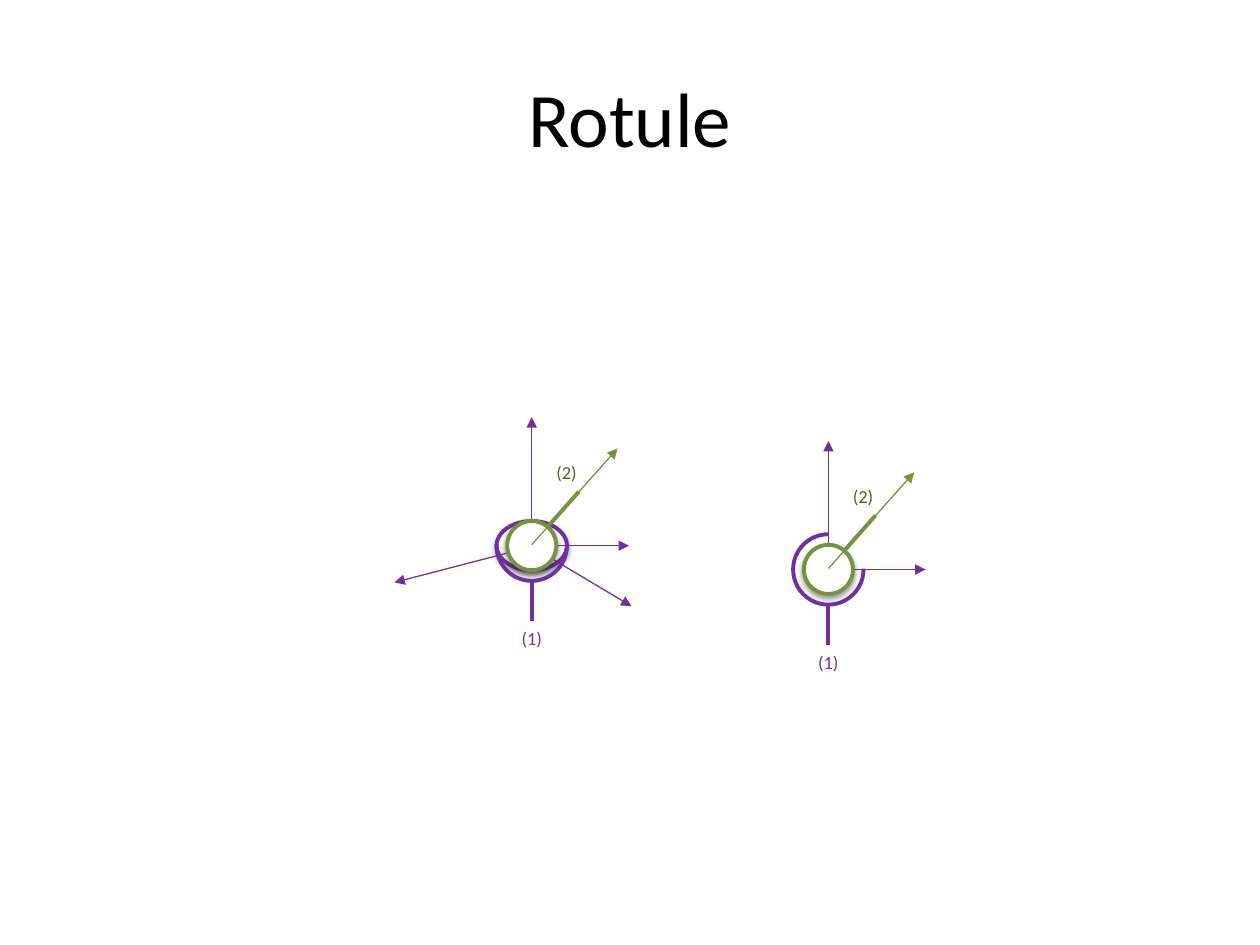
from lxml.etree import SubElement
from pptx import Presentation
from pptx.dml.color import RGBColor
from pptx.enum.shapes import MSO_CONNECTOR as Connector, MSO_SHAPE as Shape
from pptx.enum.text import MSO_ANCHOR as Anchor, MSO_AUTO_SIZE as AutoSize, PP_ALIGN as Align
from pptx.oxml.ns import qn
from pptx.util import Cm, Pt

PURPLE = RGBColor(0x70, 0x30, 0xA0)
GREEN = RGBColor(0x77, 0x93, 0x3C)
DARK_GREEN = RGBColor(0x4F, 0x62, 0x28)
WHITE = RGBColor(0xFF, 0xFF, 0xFF)
BLACK = RGBColor(0, 0, 0)

THIN, THICK = Pt(0.75), Pt(2.25)
BALL, SOCKET = 0.99, 1.42  # diameters in cm


class JointSketch:
    """Holds the style, the slide and the joint being drawn (cm from its centre)."""

    title_font = {"name": "Calibri", "size": Pt(44)}
    label_font = {"name": "Calibri", "size": Pt(10.5)}

    def __init__(self, slide):
        self.slide = slide

    def start_joint(self, x, y):
        self.x, self.y = x, y
        self.shapes = self.slide.shapes.add_group_shape().shapes

    def box(self, x, y, width, height):
        return (Cm(self.x + x - width / 2), Cm(self.y + y - height / 2),
                Cm(width), Cm(height))

    def centred_text(self, frame, text, font, color):
        paragraph = frame.paragraphs[0]
        paragraph.alignment = Align.CENTER
        run = paragraph.add_run()
        run.text = text
        for key, value in font.items():
            setattr(run.font, key, value)
        run.font.color.rgb = color

    def title(self, text):
        heading = self.slide.shapes.title
        place = {"left": Cm(1.27), "top": Cm(0.76), "width": Cm(22.86), "height": Cm(3.18)}
        for key, value in place.items():
            setattr(heading, key, value)
        heading.text_frame.vertical_anchor = Anchor.MIDDLE
        self.centred_text(heading.text_frame, text, self.title_font, BLACK)

    def label(self, text, x, y, color):
        frame = self.shapes.add_textbox(*self.box(x, y, 0.99, 0.73)).text_frame
        frame.word_wrap = True
        frame.auto_size = AutoSize.SHAPE_TO_FIT_TEXT
        self.centred_text(frame, text, self.label_font, color)

    def line(self, start, end, color, width=THIN, arrow=True):
        points = [Cm(v) for v in (self.x + start[0], self.y + start[1],
                                  self.x + end[0], self.y + end[1])]
        link = self.shapes.add_connector(Connector.STRAIGHT, *points)
        link.line.color.rgb = color
        link.line.width = width
        properties = link._element.spPr
        if arrow:
            SubElement(properties.find(qn("a:ln")), qn("a:tailEnd"), type="triangle")
        SubElement(properties, qn("a:effectLst"))

    def outline(self, kind, width, height, color):
        shape = self.shapes.add_shape(kind, *self.box(0, 0, width, height))
        shape.shadow.inherit = False
        shape.line.color.rgb = color
        shape.line.width = THICK
        return shape

    def disc(self, width, height, color):
        shape = self.outline(Shape.OVAL, width, height, color)
        shape.fill.solid()
        shape.fill.fore_color.rgb = WHITE
        effects = shape._element.spPr.find(qn("a:effectLst"))
        shadow = SubElement(effects, qn("a:outerShdw"), blurRad=str(Pt(3.1)),
                            dist=str(Pt(1.6)), dir="5400000", rotWithShape="0")
        black = SubElement(shadow, qn("a:srgbClr"), val="000000")
        SubElement(black, qn("a:alpha"), val="38000")

    def arc(self, start, end):
        shape = self.outline(Shape.ARC, SOCKET, SOCKET, PURPLE)
        shape.fill.background()
        for index, degrees in enumerate((start, end)):
            shape.adjustments[index] = degrees * 0.6

    def joint(self, x, y, arc_end, spatial):
        self.start_joint(x, y)
        # Socket axes and stem
        if spatial:
            self.disc(SOCKET, BALL, PURPLE)
        self.line((0, 0), (1.96, 0), PURPLE)
        self.line((0, 0), (0, -2.59), PURPLE)
        self.line((0, 0.74), (0, 1.52), PURPLE, THICK, arrow=False)
        if spatial:
            for tip in ((2.01, 1.22), (-2.77, 0.74)):
                self.line((0, 0.02), tip, PURPLE)
        # Ball with its handle
        self.line((0, -0.02), (0.95, -1.09), GREEN, THICK, arrow=False)
        self.disc(BALL, BALL, GREEN)
        # Part numbers
        self.label("(1)", 0, 1.89, PURPLE)
        self.label("(2)", 0.7, -1.46, DARK_GREEN)
        # Socket rim and ball axis
        self.arc(358.57, arc_end)
        self.line((0, -0.02), (1.73, -1.96), GREEN)


def main():
    deck = Presentation()
    deck.slide_width, deck.slide_height = Cm(25.4), Cm(19.05)
    sketch = JointSketch(deck.slides.add_slide(deck.slide_layouts[5]))
    sketch.title("Rotule")
    # Spatial view, then plane view
    sketch.joint(10.72, 11, arc_end=182.45, spatial=True)
    sketch.joint(16.7, 11.48, arc_end=270, spatial=False)
    deck.save("out.pptx")


if __name__ == "__main__":
    main()
